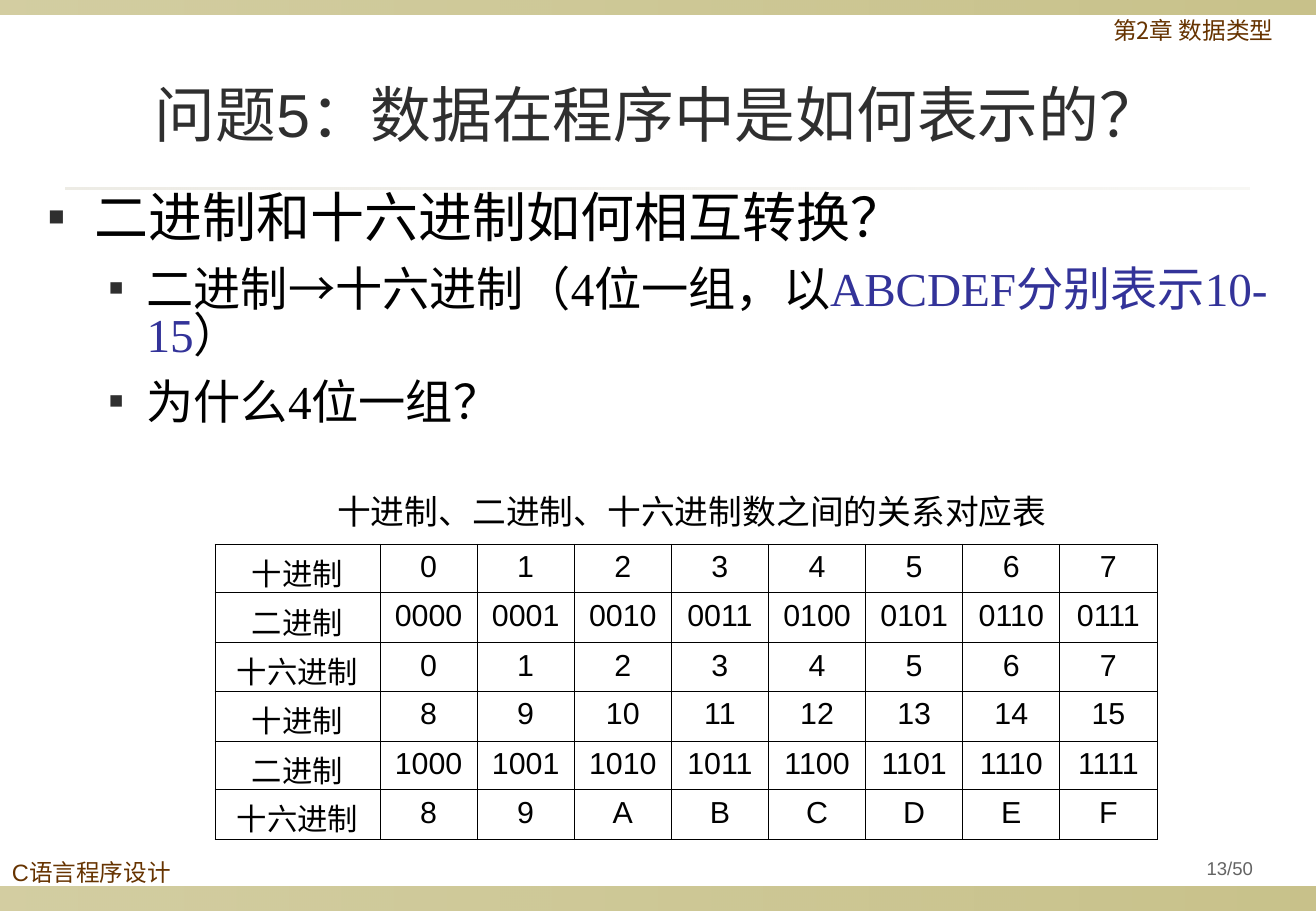
import pptx
import pptx.dml.color
import pptx.enum.shapes
import pptx.enum.text
import pptx.oxml.ns
import pptx.oxml.xmlchemy
import pptx.util
from lxml import etree

PX = 9144  # 100 px to the inch
COLORS = {
    "olive": "918415",
    "rule": "DCD9CC",
    "brown": "663300",
    "heading": "2F2F2F",
    "text": "000000",
    "accent": "333399",
    "page": "636363",
    "cell": "FFFFFF",
}
CJK_FONT = "Noto Sans CJK SC"
ALIGN = pptx.enum.text.PP_ALIGN
ANCHOR = pptx.enum.text.MSO_ANCHOR

BODY = [
    (0, [("二进制和十六进制如何相互转换？", "text")]),
    (1, [("二进制→十六进制（4位一组，以", "text"),
         ("ABCDEF分别表示10-15", "accent"),
         ("）", "text")]),
    (1, [("为什么4位一组？", "text")]),
]
# text size, left margin and hanging indent in px, by level
LEVELS = [(32, 38, 38), (28, 81, 31)]
NUMBER_FORMATS = [("十进制", "d"), ("二进制", "04b"), ("十六进制", "X")]


def px(length):
    return pptx.util.Emu(length * PX)


def rgb(name):
    return pptx.dml.color.RGBColor.from_string(COLORS[name])


def add_xml(parent, tag, **attributes):
    child = etree.SubElement(parent, pptx.oxml.ns.qn(tag))
    for key, value in attributes.items():
        child.set(key, str(value))
    return child


def add_run(paragraph, text, size, color, font):
    run = paragraph.add_run()
    run.text = text
    run.font.size = pptx.util.Pt(size)
    run.font.name = font
    run.font.color.rgb = rgb(color)
    add_xml(run.font._element, "a:ea", typeface=CJK_FONT)


def add_band(slide, box, color, opacities):
    """Rectangle fading from left to right between two opacities in percent."""
    band = slide.shapes.add_shape(
        pptx.enum.shapes.MSO_SHAPE.RECTANGLE, *map(px, box))
    band.shadow.inherit = False
    band.line.fill.background()
    band.fill.gradient()
    band.fill.gradient_angle = 0
    for stop, position in zip(band.fill.gradient_stops, (0, 1)):
        stop.color.rgb = rgb(color)
        stop.position = position
    shades = band._element.spPr.iter(pptx.oxml.ns.qn("a:srgbClr"))
    for shade, opacity in zip(shades, opacities):
        add_xml(shade, "a:alpha", val=opacity * 1000)


def add_frame(slide, box, anchor=ANCHOR.TOP, side_margin=10):
    frame = slide.shapes.add_textbox(*map(px, box)).text_frame
    frame.word_wrap = True
    frame.vertical_anchor = anchor
    frame.margin_left = frame.margin_right = px(side_margin)
    frame.margin_top = frame.margin_bottom = px(5)
    return frame


def add_label(slide, box, text, size, color, font="Arial", align=ALIGN.LEFT,
              line_spacing=1.0, **frame_options):
    paragraph = add_frame(slide, box, **frame_options).paragraphs[0]
    paragraph.alignment = align
    paragraph.line_spacing = line_spacing
    add_run(paragraph, text, size, color, font)


def add_bullet(paragraph, margin, hanging):
    properties = paragraph._p.get_or_add_pPr()
    properties.set("marL", str(px(margin)))
    properties.set("indent", str(-px(hanging)))
    add_xml(add_xml(properties, "a:buClr"), "a:srgbClr", val=COLORS["heading"])
    add_xml(properties, "a:buSzPct", val=50000)
    add_xml(properties, "a:buFont", typeface="Arial")
    add_xml(properties, "a:buChar", char="■")


def add_body(slide, box):
    frame = add_frame(slide, box)
    for index, (level, pieces) in enumerate(BODY):
        paragraph = frame.add_paragraph() if index else frame.paragraphs[0]
        size, margin, hanging = LEVELS[level]
        paragraph.level = level
        add_bullet(paragraph, margin, hanging)
        paragraph.line_spacing = 0.82
        paragraph.space_before = pptx.util.Pt(6 if index else 0)
        paragraph.space_after = pptx.util.Pt(6)
        for text, color in pieces:
            add_run(paragraph, text, size, color, "Times New Roman")


def fill_cell(cell, text, font):
    properties = cell._tc.get_or_add_tcPr()
    for side in ("a:lnL", "a:lnR", "a:lnT", "a:lnB"):
        border = add_xml(properties, side, w=pptx.util.Pt(0.45))
        add_xml(add_xml(border, "a:solidFill"), "a:srgbClr", val=COLORS["text"])
    cell.fill.solid()
    cell.fill.fore_color.rgb = rgb("cell")
    paragraph = cell.text_frame.paragraphs[0]
    paragraph.alignment = ALIGN.CENTER
    add_run(paragraph, text, 18, "text", font)


def add_number_table(slide, box):
    """Numbers 0-7, then 8-15, each in decimal, binary and hexadecimal."""
    rows = [(label, [format(number, code) for number in range(start, start + 8)])
            for start in (0, 8) for label, code in NUMBER_FORMATS]
    table = slide.shapes.add_table(len(rows), 9, *map(px, box)).table
    table.first_row = table.horz_banding = False
    for index, column in enumerate(table.columns):
        column.width = px(80 if index else 136)
    for index, (label, numbers) in enumerate(rows):
        table.rows[index].height = px(40 + index % 2)
        fill_cell(table.cell(index, 0), label, "Roboto")
        for position, number in enumerate(numbers, start=1):
            fill_cell(table.cell(index, position), number, "Arial")


def main():
    presentation = pptx.Presentation()
    presentation.slide_width, presentation.slide_height = px(1084), px(750)
    slide = presentation.slides.add_slide(presentation.slide_layouts[6])

    add_band(slide, (0, 730, 1084, 20), "olive", (40, 50))
    add_band(slide, (0, 0, 1084, 12), "olive", (40, 50))
    add_band(slide, (54, 154, 975, 2), "rule", (50, 20))
    add_label(slide, (0, 704, 235, 44), "C语言程序设计", 14, "brown",
              line_spacing=0.9)
    add_label(slide, (865, 11, 236, 39), "第2章 数据类型", 14, "brown",
              font=CJK_FONT, align=ALIGN.CENTER, line_spacing=0.9)
    add_body(slide, (30, 156, 1054, 544))
    add_label(slide, (0, 47, 1083, 92), "问题5：数据在程序中是如何表示的？", 36,
              "heading", align=ALIGN.CENTER, anchor=ANCHOR.MIDDLE)
    add_label(slide, (959, 700, 108, 31), "13/50", 11, "page",
              align=ALIGN.CENTER, line_spacing=0.9, anchor=ANCHOR.MIDDLE,
              side_margin=5)
    add_number_table(slide, (177, 448, 776, 243))
    add_label(slide, (268, 399, 614, 44),
              "十进制、二进制、十六进制数之间的关系对应表", 20, "text")

    presentation.save("out.pptx")


if __name__ == "__main__":
    main()
